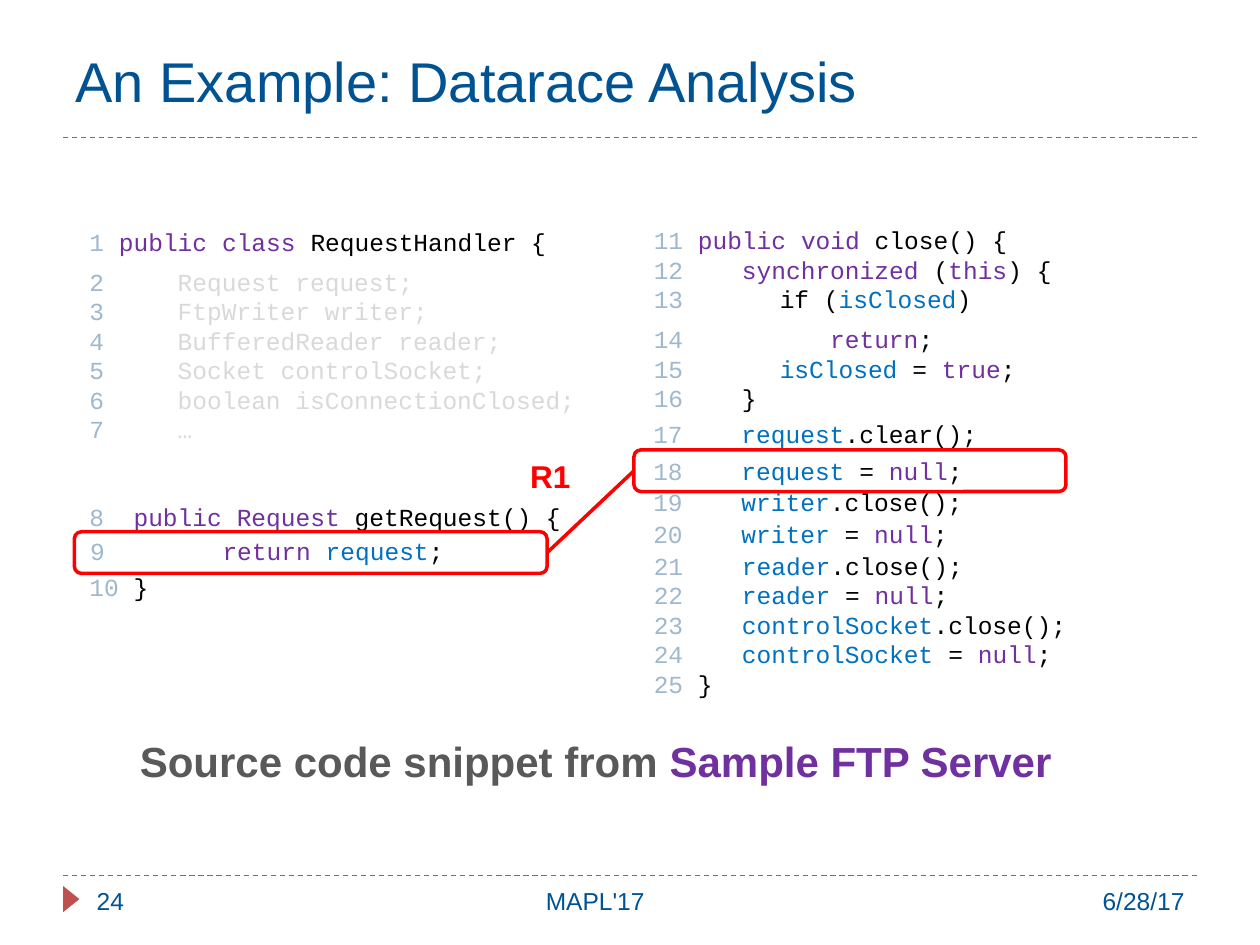
from itertools import groupby

from lxml import etree
from pptx import Presentation
from pptx import util as u
from pptx.dml.color import RGBColor
from pptx.enum import dml, shapes, text
from pptx.oxml.ns import qn

NAVY, RED, BRICK, GREY = "005392", "FF0000", "C0504D", "595959"
NUMBER, MUTED, BLACK = "9FB8CD", "D9D9D9", "000000"
PURPLE, BLUE = "7030A0", "0070C0"
WORD_COLORS = {
    **dict.fromkeys("public class void synchronized this return true null Request".split(), PURPLE),
    **dict.fromkeys("isClosed request writer reader controlSocket".split(), BLUE),
}
CHAR, LINE = 8.4, 16.8  # code column width and line pitch, in points

# line number, code column, space before, code
CLASS_CODE = [
    (1, 2, 0, "public class RequestHandler {"),
    (2, 6, 6, "Request request;"),
    (3, 6, 0, "FtpWriter writer;"),
    (4, 6, 0, "BufferedReader reader;"),
    (5, 6, 0, "Socket controlSocket;"),
    (6, 6, 0, "boolean isConnectionClosed;"),
    (7, 6, 0, "…"),
    (8, 3, 2 * LINE, "public Request getRequest() {"),
    (10, 3, LINE + 6, "}"),
]
CLOSE_CODE = [
    (11, 3, 0, "public void close() {"),
    (12, 6, 0, "synchronized (this) {"),
    (13, 8.57, 0, "if (isClosed)"),
    (14, 12, 6, "return;"),
    (15, 8.57, 0, "isClosed = true;"),
    (16, 6, 0, "}"),
    (21, 6, 79.2, "reader.close();"),
    (22, 6, 0, "reader = null;"),
    (23, 6, 0, "controlSocket.close();"),
    (24, 6, 0, "controlSocket = null;"),
    (25, 3, 0, "}"),
]
# top of the line, then the line itself
SINGLE_LINES = [
    (8.33, (17, 6, 0, "request.clear();")),
    (9.07, (18, 6, 0, "request = null;")),
    (9.7, (19, 6, 0, "writer.close();")),
    (10.34, (20, 6, 0, "writer = null;")),
]
MUTED_LINES = range(2, 8)


def rgb(color):
    return RGBColor.from_string(color)


def apply(obj, **values):
    for name, value in values.items():
        setattr(obj, name, value)


class Deck:
    def __init__(self, prs, slide):
        self.prs, self.s = prs, slide

    def place(self, sp, x, y, w, h):
        apply(sp, left=u.Cm(x), top=u.Cm(y), width=u.Cm(w), height=u.Cm(h))

    def run(self, p, words, color, size=14, font="Arial", bold=False):
        r = p.add_run()
        r.text = words
        apply(r.font, size=u.Pt(size), name=font, bold=bold)
        r.font.color.rgb = rgb(color)

    def title(self, words, box):
        sp = self.s.shapes.title
        self.place(sp, *box)
        apply(sp.text_frame, vertical_anchor=text.MSO_ANCHOR.MIDDLE,
              auto_size=text.MSO_AUTO_SIZE.NONE)
        p = sp.text_frame.paragraphs[0]
        p.alignment = text.PP_ALIGN.LEFT
        self.run(p, words, NAVY, 32)

    def box(self, box, wrap=True):
        sp = self.s.shapes.add_textbox(*map(u.Cm, box))
        sp.text_frame.word_wrap = wrap
        return sp

    def label(self, box, parts, align=text.PP_ALIGN.LEFT, wrap=True, **style):
        p = self.box(box, wrap).text_frame.paragraphs[0]
        p.alignment = align
        for words, color in parts:
            self.run(p, words, color, **style)

    def code(self, sp, lines):
        """Write numbered code lines, with the code hanging at its column."""
        tf = sp.text_frame
        tf.auto_size = text.MSO_AUTO_SIZE.NONE
        for i, (number, column, before, code) in enumerate(lines):
            p = tf.add_paragraph() if i else tf.paragraphs[0]
            apply(p, space_before=u.Pt(before), line_spacing=u.Pt(LINE),
                  alignment=text.PP_ALIGN.LEFT)
            indent = int(u.Pt(column * CHAR))
            pPr = p._p.get_or_add_pPr()
            pPr.set("marL", str(indent))
            pPr.set("indent", str(-indent))
            etree.SubElement(pPr, qn("a:buNone"))
            self.run(p, f"{number}\t", NUMBER, font="Courier New")
            if number in MUTED_LINES:
                self.run(p, code, MUTED, font="Courier New")
                continue
            for _, chars in groupby(code, key=str.isalnum):
                word = "".join(chars)
                self.run(p, word, WORD_COLORS.get(word, BLACK), font="Courier New")

    def line(self, start, end, color, width, dash=None):
        c = self.s.shapes.add_connector(shapes.MSO_CONNECTOR.STRAIGHT,
                                        *map(u.Cm, start + end))
        c.line.color.rgb = rgb(color)
        apply(c.line, width=u.Pt(width), dash_style=dash)
        etree.SubElement(c._element.spPr, qn("a:effectLst"))
        return c

    def shape(self, kind, box, fill=None, outline=None):
        sp = self.s.shapes.add_shape(kind, *map(u.Cm, box))
        sp.shadow.inherit = False
        if fill:
            sp.fill.solid()
            sp.fill.fore_color.rgb = rgb(fill)
        else:
            sp.fill.background()
        if outline:
            sp.line.color.rgb = rgb(outline)
            sp.line.width = u.Pt(2)
        else:
            sp.line.fill.background()
        return sp


def main():
    prs = Presentation()
    apply(prs, slide_width=u.Cm(25.4), slide_height=u.Cm(19.05))
    d = Deck(prs, prs.slides.add_slide(prs.slide_layouts[1]))

    for y in (17.65, 2.77):
        d.line((1.27, y), (24.13, y), BRICK, 0.75, dml.MSO_LINE.DASH)
    marker = d.shape(shapes.MSO_SHAPE.ISOSCELES_TRIANGLE, (1.17, 17.96, 0.53, 0.33), fill=BRICK)
    marker.rotation = 90

    d.title("An Example: Datarace Analysis", (1.27, 0.43, 22.86, 2.36))
    body = d.s.placeholders[1]
    d.place(body, 1.55, 4.45, 11, 11.68)
    d.code(body, CLASS_CODE)
    d.code(d.box((1.57, 10.69, 7.67, 0.86)), [(9, 9, 0, "return request;")])
    d.code(d.box((12.93, 4.42, 12.4, 9.88)), CLOSE_CODE)
    for y, code_line in SINGLE_LINES:
        d.code(d.box((12.92, y, 7.37, 0.86)), [code_line])

    align = text.PP_ALIGN
    for x, w, words, side in [(1.7, 2.26, "24", align.LEFT),
                              (17.78, 6.35, "6/28/17", align.RIGHT),
                              (3.96, 16.08, "MAPL'17", align.CENTER)]:
        d.label((x, 17.73, w, 1.02), [(words, NAVY)], side)
    d.label((0.58, 14.71, 22.86, 1.32),
            [("Source code snippet from ", GREY), ("Sample FTP Server", PURPLE)],
            align.CENTER, size=24, bold=True)

    race = d.line((11.03, 11.14), (12.78, 9.49), RED, 2)
    d.label((10.44, 9.09, 1.32, 1.02), [("R1", RED)], wrap=False, size=18, bold=True)
    read, write = [d.shape(shapes.MSO_SHAPE.ROUNDED_RECTANGLE, box, outline=RED)
                   for box in ((1.5, 10.72, 9.53, 0.84), (12.78, 9.07, 8.71, 0.84))]
    race.begin_connect(read, 3)
    race.end_connect(write, 1)
    prs.save("out.pptx")


if __name__ == "__main__":
    main()
